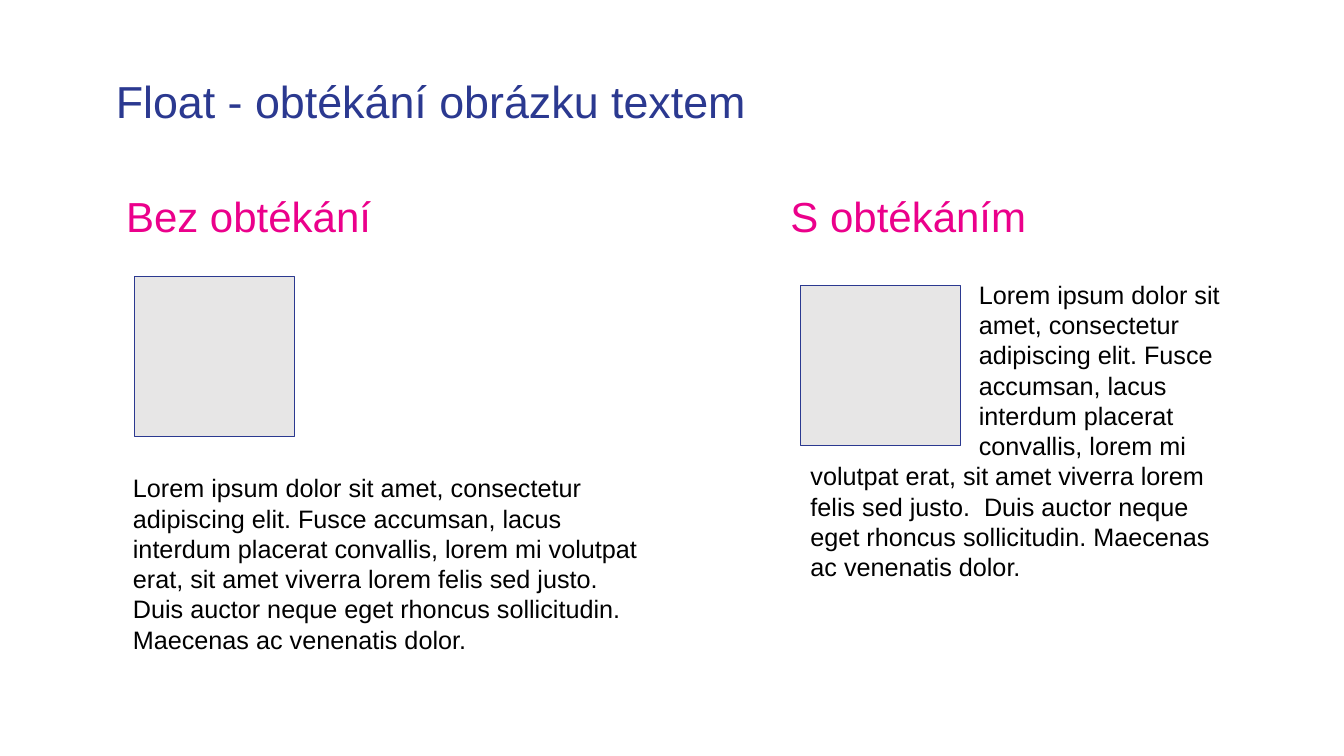
from dataclasses import dataclass

from pptx import Presentation, util as u
from pptx.dml.color import RGBColor
from pptx.enum import shapes, text


@dataclass(frozen=True)
class Theme:
    font: str = "Arial"
    navy: str = "2B3990"
    pink: str = "EB008B"
    black: str = "000000"
    grey: str = "E7E6E6"
    title: int = 32
    head: int = 30
    body: int = 18
    edge: float = 0.75


theme = Theme()
deck = Presentation()
deck.slide_width, deck.slide_height = u.Inches(13.33), u.Inches(7.5)
slide = deck.slides.add_slide(deck.slide_layouts[6])


def write(box, paras, size, color, inset=0.1, middle=False):
    """Add a text box; each paragraph is a (words, left indent) pair."""
    frame = slide.shapes.add_textbox(*map(u.Inches, box)).text_frame
    style = {f"margin_{side}": u.Inches(inset)
             for side in ("left", "top", "right", "bottom")}
    style["word_wrap"] = True
    if middle:
        style["vertical_anchor"] = text.MSO_ANCHOR.MIDDLE
    for name, value in style.items():
        setattr(frame, name, value)
    for i, (words, indent) in enumerate(paras):
        para = frame.add_paragraph() if i else frame.paragraphs[0]
        if indent:
            para._p.get_or_add_pPr().set("marL", str(u.Inches(indent)))
        if middle:
            para.line_spacing = 0.9
        run = para.add_run()
        run.text = words
        for name, value in {"name": theme.font, "size": u.Pt(size)}.items():
            setattr(run.font, name, value)
        run.font.color.rgb = RGBColor.from_string(color)


start = ("Lorem ipsum dolor sit amet, consectetur adipiscing elit. "
         "Fusce accumsan, lacus interdum placerat convallis, lorem mi")
rest = ("volutpat erat, sit amet viverra lorem felis sed justo.  "
        "Duis auctor neque eget rhoncus sollicitudin. "
        "Maecenas ac venenatis dolor.")

write((1.05, 0.58, 9.1, 0.9), [("Float - obtékání obrázku textem", 0)],
      theme.title, theme.navy, middle=True)

# Each column: heading, its left and width, square corner, body box, body text
side = 1.59
cols = [
    ("Bez obtékání", 1.18, 3.68, (1.33, 2.74), (1.22, 4.59, 5.24, 2.13),
     [(f"{start} {rest}", 0)]),
    ("S obtékáním", 7.77, 4.02, (7.94, 2.83), (7.94, 2.67, 4.37, 4.09),
     [(start, 1.67), (rest, 0)]),
]
for head, left, width, corner, box, paras in cols:
    write(box, paras, theme.body, theme.black)
    square = slide.shapes.add_shape(
        shapes.MSO_SHAPE.RECTANGLE, *map(u.Inches, (*corner, side, side)))
    square.shadow.inherit = False
    square.fill.solid()
    square.fill.fore_color.rgb = RGBColor.from_string(theme.grey)
    square.line.color.rgb = RGBColor.from_string(theme.navy)
    square.line.width = u.Pt(theme.edge)
    write((left, 1.86, width, 0.63), [(head, 0)],
          theme.head, theme.pink, inset=0.07, middle=True)

deck.save("out.pptx")
